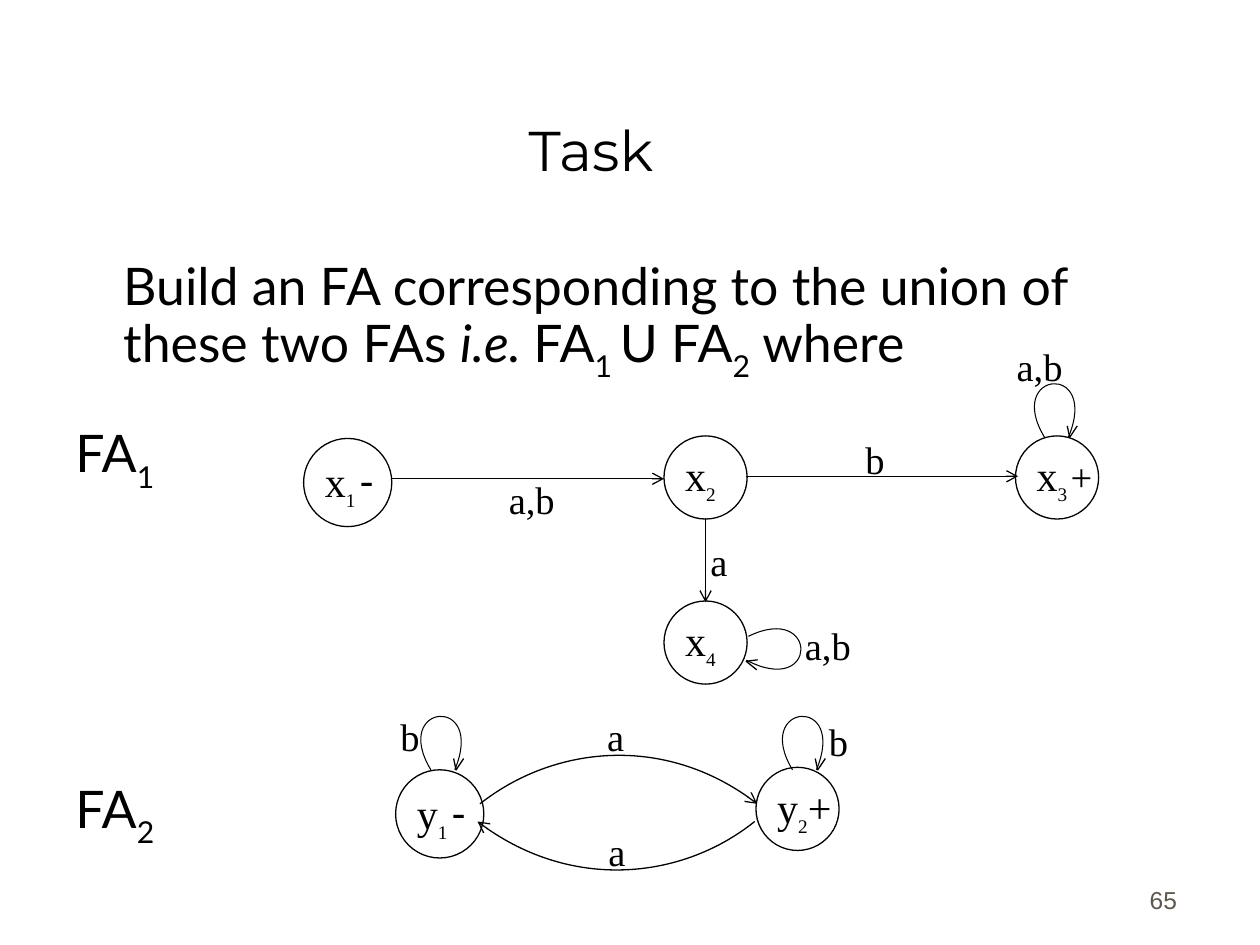
from dataclasses import dataclass
from math import cos, radians, sin

from lxml.etree import SubElement
from pptx import Presentation
from pptx.dml.color import RGBColor
from pptx.enum.shapes import MSO_CONNECTOR, MSO_SHAPE
from pptx.enum.text import MSO_ANCHOR, PP_ALIGN
from pptx.oxml.ns import qn
from pptx.util import Cm, Pt

COLORS = {"ink": "000000", "paper": "FFFFFF", "number": "5E574E"}
SERIF, SANS = "Times New Roman", "Lato"
SUB = -30000  # subscript offset in thousandths of a percent


@dataclass
class Run:
    text: str
    size: float
    font: str = SERIF
    italic: bool = False
    sub: bool = False


@dataclass
class Node:
    x: float
    y: float
    d: float
    label: list[Run]


@dataclass
class Loop:
    x: float
    y: float
    angle: float = 0


def inch(v: float) -> Cm:
    return Cm(v * 2.54)


def rgb(name: str) -> RGBColor:
    return RGBColor.from_string(COLORS[name])


def add_text(s, runs: list[Run], x, y, w, h, *, align=PP_ALIGN.LEFT,
             anchor=MSO_ANCHOR.TOP, color="ink", spacing=None):
    tf = s.shapes.add_textbox(inch(x), inch(y), inch(w), inch(h)).text_frame
    tf.word_wrap = True
    tf.vertical_anchor = anchor
    p = tf.paragraphs[0]
    p.alignment = align
    if spacing:
        p.line_spacing = spacing
    for run in runs:
        r = p.add_run()
        r.text = run.text
        r.font.size = Pt(run.size)
        r.font.name = run.font
        r.font.italic = run.italic
        r.font.color.rgb = rgb(color)
        if run.sub:
            r.font._element.set("baseline", str(SUB))


def style_line(sp, width=0.75, arrow=False):
    sp.line.color.rgb = rgb("ink")
    sp.line.width = Pt(width)
    if arrow:
        SubElement(sp.line._get_or_add_ln(), qn("a:tailEnd"), type="arrow")


def add_node(s, node: Node):
    sp = s.shapes.add_shape(MSO_SHAPE.OVAL, inch(node.x), inch(node.y),
                            inch(node.d), inch(node.d))
    sp.shadow.inherit = False
    sp.fill.solid()
    sp.fill.fore_color.rgb = rgb("paper")
    style_line(sp)
    drop = 0.09 if node.d > 0.68 else 0.06
    add_text(s, node.label, node.x + 0.07, node.y + drop, 0.8, 0.46)


def add_arrow(s, x1, y1, x2, y2):
    cn = s.shapes.add_connector(MSO_CONNECTOR.STRAIGHT, inch(x1), inch(y1),
                                inch(x2), inch(y2))
    style_line(cn, arrow=True)
    SubElement(cn._element.spPr, qn("a:effectLst"))


def add_path(s, points, *, curve=False, width=0.75, arrow=False):
    """Open outline; with curve, the four points are one cubic Bezier."""
    start, *rest = [(inch(x), inch(y)) for x, y in points]
    fb = s.shapes.build_freeform(*start)
    fb.add_line_segments(rest, close=False)
    sp = fb.convert_to_shape()
    sp.shadow.inherit = False
    sp.fill.background()
    style_line(sp, width, arrow)
    if curve:
        path = sp._element.find(".//" + qn("a:path"))
        bezier = SubElement(path, qn("a:cubicBezTo"))
        for segment in path.findall(qn("a:lnTo")):
            bezier.append(segment[0])
            path.remove(segment)


def add_loop(s, loop: Loop):
    c, n = cos(radians(loop.angle)), sin(radians(loop.angle))

    def place(points):
        return [(loop.x + x * c - y * n, loop.y + x * n + y * c)
                for x, y in points]

    add_path(s, place([(0, 0), (-0.32, -0.53), (0.44, -0.6), (0.19, 0)]),
             curve=True, width=0.6)
    add_path(s, place([(0.26, -0.09), (0.2, 0), (0.18, -0.09)]))


def state(letter: str, index: str, *sign: Run) -> list[Run]:
    return [Run(letter, 24), Run(index, 19, sub=True), *sign]


def body(text: str, **kw) -> Run:
    return Run(text, 29.6, SANS, **kw)


GAP = Run(" ", 13, sub=True)
MINUS = Run("-", 24, SANS)
NODES = [
    Node(2.41, 3.48, 0.7, state("x", "1", GAP, MINUS)),
    Node(5.27, 3.46, 0.66, state("x", "2")),
    Node(8.06, 3.46, 0.66, state("x", "3", GAP, Run("+", 22))),
    Node(5.27, 4.77, 0.66, state("x", "4")),
    Node(3.14, 6.11, 0.7, state("y", "1", GAP, MINUS)),
    Node(6, 6.09, 0.66, state("y", "2", Run("+", 24))),
]
ARROWS = [(3.1, 3.8, 5.27, 3.8), (5.92, 3.78, 8.08, 3.78),
          (5.6, 4.11, 5.6, 4.78)]
ARCS = [
    [(3.81, 6.38), (4.38, 5.93), (5.29, 5.82), (6.01, 6.38)],
    [(5.99, 6.52), (5.43, 6.97), (4.52, 7.08), (3.79, 6.52)],
]
LOOPS = [Loop(8.29, 3.47), Loop(5.94, 5.05, 95), Loop(3.42, 6.11),
         Loop(6.29, 6.11)]
EDGE_LABELS = [
    ("a,b", 7.97, 2.67), ("b", 6.77, 3.41), ("a,b", 3.94, 3.73),
    ("a,b", 6.29, 4.89), ("a", 5.54, 4.22), ("a", 4.72, 5.61),
    ("a", 4.73, 6.52), ("b", 6.48, 5.65), ("b", 3.08, 5.61),
]


def main():
    prs = Presentation()
    prs.slide_width, prs.slide_height = inch(10), inch(7.5)
    s = prs.slides.add_slide(prs.slide_layouts[6])

    # Title, task and page number
    add_text(s, [Run("Task", 32, "Montserrat")], 0.44, 0.25, 8.5, 1.25,
             align=PP_ALIGN.CENTER, anchor=MSO_ANCHOR.BOTTOM)
    add_text(s, [body("Build an FA corresponding to the union of these two FAs "),
                 body("i.e. ", italic=True), body("FA"), body("1 ", sub=True),
                 body("U FA"), body("2", sub=True), body(" where")],
             0.88, 2.06, 8.56, 1, spacing=0.8)
    add_text(s, [Run("65", 14, "Arial")], 7.36, 6.81, 2.08, 0.5,
             align=PP_ALIGN.RIGHT, anchor=MSO_ANCHOR.BOTTOM, color="number")

    # Names of the automata
    for index, y in (("1", 3.33), ("2", 6.15)):
        add_text(s, [body("FA"), body(index, sub=True)], 0.5, y, 1.2, 0.55,
                 spacing=0.8)

    # States and transitions
    for node in NODES:
        add_node(s, node)
    for ends in ARROWS:
        add_arrow(s, *ends)
    for points in ARCS:
        add_path(s, points, curve=True, arrow=True)
    for loop in LOOPS:
        add_loop(s, loop)
    for text, x, y in EDGE_LABELS:
        add_text(s, [Run(text, 22)], x, y, 1.01, 0.41)

    prs.save("out.pptx")


if __name__ == "__main__":
    main()
